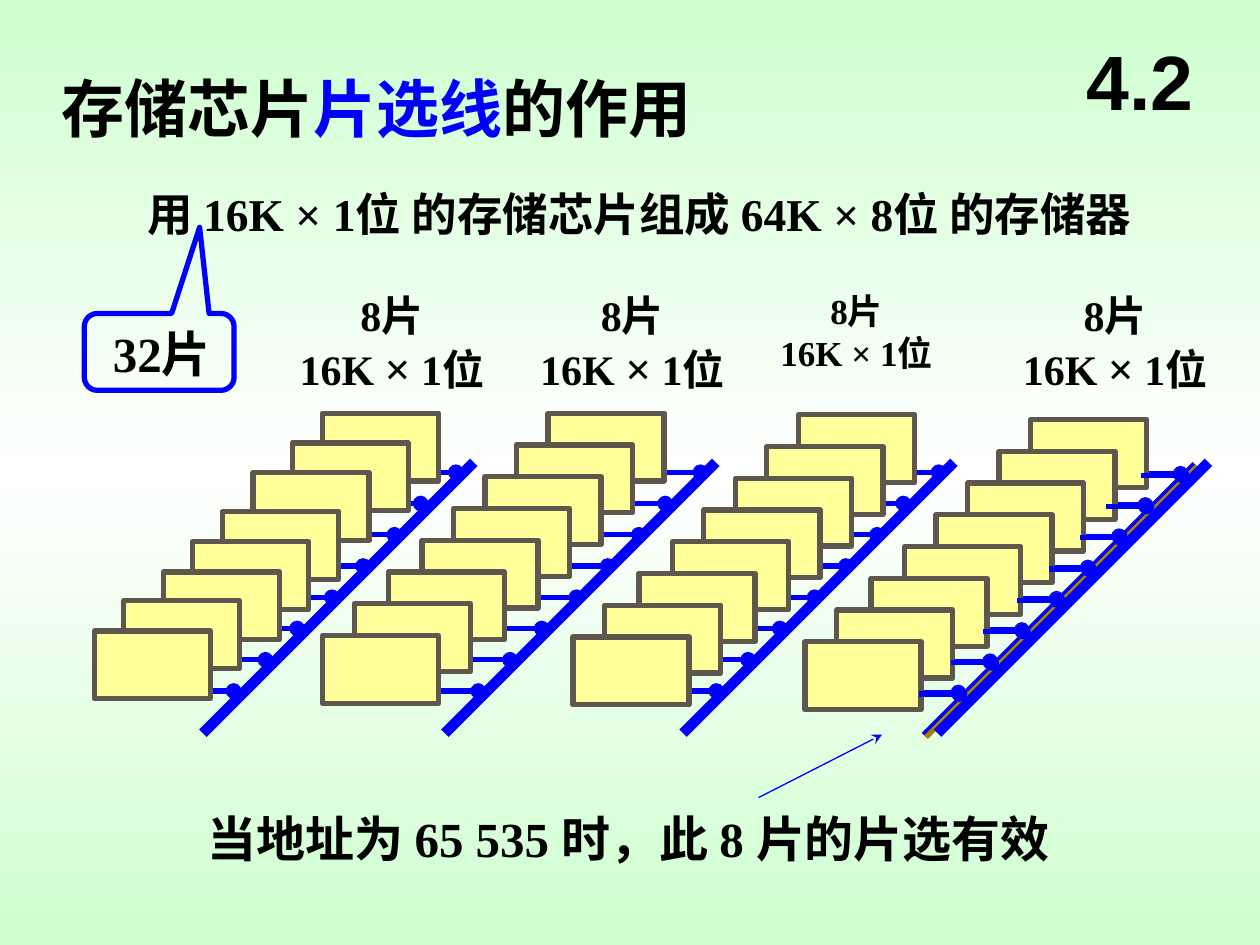
from copy import deepcopy
from typing import NamedTuple

from pptx import Presentation
from pptx.dml.color import RGBColor
from pptx.enum import shapes, text
from pptx.oxml.ns import qn
from pptx.util import Cm, Pt

BLACK = RGBColor(0, 0, 0)
WHITE = RGBColor(0xFF, 0xFF, 0xFF)
BLUE = RGBColor(0, 0, 0xFF)
OCHRE = RGBColor(0xAA, 0x7D, 0x00)
MINT = RGBColor(0xCD, 0xFF, 0xCE)
CHIP_FILL = RGBColor(0xFF, 0xFF, 0x99)
CHIP_EDGE = RGBColor(0x5E, 0x57, 0x4E)

CHIP_W, CHIP_H = 2.34, 1.37
BUS_SPAN = 5.46
STUB_LENGTH, STUB_STEP = 0.81, 0.63
STUB_SHIFTS = (0, 0.71, 1.24, 1.87, 2.5, 3.2, 3.84, 4.48)
EVEN_X = (0, 0.64, 1.27, 1.91, 2.54, 3.22, 3.91, 4.55)
EVEN_Y = tuple(0.64 * i for i in range(8))
FIRST_X = (0, 0.61, 1.4, 2.01, 2.62, 3.2, 4.01, 4.6)
FIRST_Y = (0, 0.6, 1.2, 1.98, 2.59, 3.2, 3.78, 4.39)


class Harness(NamedTuple):
    """A slanted select line with eight stubs; lengths in cm."""
    bus_x: float
    bus_y: float
    stub_x: float
    stub_y: float
    bus_width: float = 6
    color: RGBColor = BLUE


class Bank(NamedTuple):
    """Eight stacked chips, the rearmost at x, y; lengths in cm."""
    x: float
    y: float
    shifts_x: tuple = EVEN_X
    shifts_y: tuple = EVEN_Y


class Label(NamedTuple):
    center: float
    size: float = 24
    times_size: float = 26


class Run(NamedTuple):
    text: str
    size: float
    color: RGBColor = BLACK
    font: str = "Times New Roman"


BACK_HARNESSES = [
    Harness(24.08, 9.35, 22.99, 9.55, 3),
    Harness(19.23, 9.32, 18.11, 9.52),
    Harness(14.43, 9.32, 13.31, 9.52),
    Harness(9.55, 9.32, 8.38, 9.52),
]
FRONT_HARNESSES = [
    Harness(24.13, 9.4, 23.01, 9.58, 3, OCHRE),
    Harness(24.36, 9.32, 23.01, 9.58),
]
BANKS = [
    Bank(6.5, 8.33, FIRST_X, FIRST_Y),
    Bank(11.05, 8.33),
    Bank(16.1, 8.36),
    Bank(20.78, 8.46),
]
LABELS = [Label(7.9), Label(12.75), Label(17.27, 20, 20), Label(22.48)]


def add_line(s, x1: float, y1: float, x2: float, y2: float,
             color: RGBColor, width: float, tail: str = "") -> None:
    c = s.shapes.add_connector(shapes.MSO_CONNECTOR.STRAIGHT,
                               Cm(x1), Cm(y1), Cm(x2), Cm(y2))
    c.line.color.rgb = color
    c.line.width = Pt(width)
    sp_pr = c._element.spPr
    if tail:
        end = sp_pr.find(qn("a:ln")).makeelement(qn("a:tailEnd"), {"type": tail})
        sp_pr.find(qn("a:ln")).append(end)
    sp_pr.append(sp_pr.makeelement(qn("a:effectLst"), {}))


def add_harness(s, h: Harness) -> None:
    add_line(s, h.bus_x, h.bus_y, h.bus_x - BUS_SPAN, h.bus_y + BUS_SPAN,
             h.color, h.bus_width)
    for i, shift in enumerate(STUB_SHIFTS):
        x, y = h.stub_x - shift, h.stub_y + i * STUB_STEP
        add_line(s, x, y, x + STUB_LENGTH, y, h.color, 3, "oval")


def add_bank(s, bank: Bank) -> None:
    for dx, dy in zip(bank.shifts_x, bank.shifts_y):
        sp = s.shapes.add_shape(shapes.MSO_SHAPE.RECTANGLE, Cm(bank.x - dx),
                                Cm(bank.y + dy), Cm(CHIP_W), Cm(CHIP_H))
        sp.shadow.inherit = False
        sp.fill.solid()
        sp.fill.fore_color.rgb = CHIP_FILL
        sp.line.color.rgb = CHIP_EDGE
        sp.line.width = Pt(3)


def write(sp, paragraphs: list[list[Run]], align=text.PP_ALIGN.LEFT,
          **frame_format) -> None:
    tf = sp.text_frame
    frame = {"word_wrap": True, "auto_size": text.MSO_AUTO_SIZE.NONE,
             "vertical_anchor": text.MSO_ANCHOR.TOP} | frame_format
    for name, value in frame.items():
        setattr(tf, name, value)
    for i, runs in enumerate(paragraphs):
        p = tf.paragraphs[0] if i == 0 else tf.add_paragraph()
        p.alignment = align
        for run in runs:
            r = p.add_run()
            r.text = run.text
            for name, value in {"name": run.font, "size": Pt(run.size),
                                "bold": True}.items():
                setattr(r.font, name, value)
            r.font.color.rgb = run.color


def add_text(s, x: float, y: float, w: float, h: float,
             paragraphs: list[list[Run]], **options) -> None:
    write(s.shapes.add_textbox(Cm(x), Cm(y), Cm(w), Cm(h)), paragraphs, **options)


def add_label(s, label: Label) -> None:
    size = label.size
    add_text(s, label.center - 2.4, 5.72, 4.8, 2.39,
             [[Run("8片", size)],
              [Run("16K ", size), Run("×", label.times_size), Run(" 1位", size)]],
             align=text.PP_ALIGN.CENTER)


def paint_background(s) -> None:
    fill = s.background.fill
    fill.gradient()
    fill.gradient_angle = 90
    first = next(s._element.iter(qn("a:gs")))
    first.addnext(deepcopy(first))
    for stop, position, color in zip(fill.gradient_stops, (0, 0.5, 1),
                                     (MINT, WHITE, MINT)):
        stop.position = position
        stop.color.rgb = color


def add_callout(s) -> None:
    sp = s.shapes.add_shape(shapes.MSO_SHAPE.ROUNDED_RECTANGULAR_CALLOUT,
                            Cm(1.7), Cm(6.32), Cm(3.02), Cm(1.55))
    for i, value in enumerate((0.27, -1.62, 0.17)):
        sp.adjustments[i] = value
    sp.shadow.inherit = False
    sp.fill.background()
    sp.line.color.rgb = BLUE
    sp.line.width = Pt(3)
    write(sp, [[Run("32片", 28)]], margin_left=Cm(0.5), margin_right=Cm(0))


def main() -> None:
    prs = Presentation()
    prs.slide_width, prs.slide_height = Cm(25.4), Cm(19.05)
    s = prs.slides.add_slide(prs.slide_layouts[5])
    paint_background(s)

    title = s.shapes.title
    for name, value in {"left": 0.99, "top": 1.27, "width": 13.21,
                        "height": 1.78}.items():
        setattr(title, name, Cm(value))
    write(title, [[Run("存储芯片", 36), Run("片选线", 36, BLUE), Run("的作用", 36)]],
          align=text.PP_ALIGN.RIGHT, word_wrap=False)

    for harness in BACK_HARNESSES:
        add_harness(s, harness)
    add_text(s, 2.72, 3.63, 21.62, 1.37,
             [[Run("用 16K × 1位 的存储芯片组成 64K × 8位 的存储器", 26)]])
    for bank in BANKS:
        add_bank(s, bank)
    add_callout(s)
    for harness in FRONT_HARNESSES:
        add_harness(s, harness)

    add_text(s, 3.94, 16.18, 18.29, 2.64,
             [[Run("当地址为 65 535 时，此 8 片的片选有效", 28)]])
    add_line(s, 15.29, 16.08, 17.78, 14.81, BLUE, 0.75, "stealth")
    for label in LABELS:
        add_label(s, label)
    add_text(s, 21.39, 0.43, 3.18, 2.34, [[Run("4.2", 44, font="Arial")]],
             align=text.PP_ALIGN.CENTER, vertical_anchor=text.MSO_ANCHOR.MIDDLE)
    prs.save("out.pptx")


if __name__ == "__main__":
    main()
